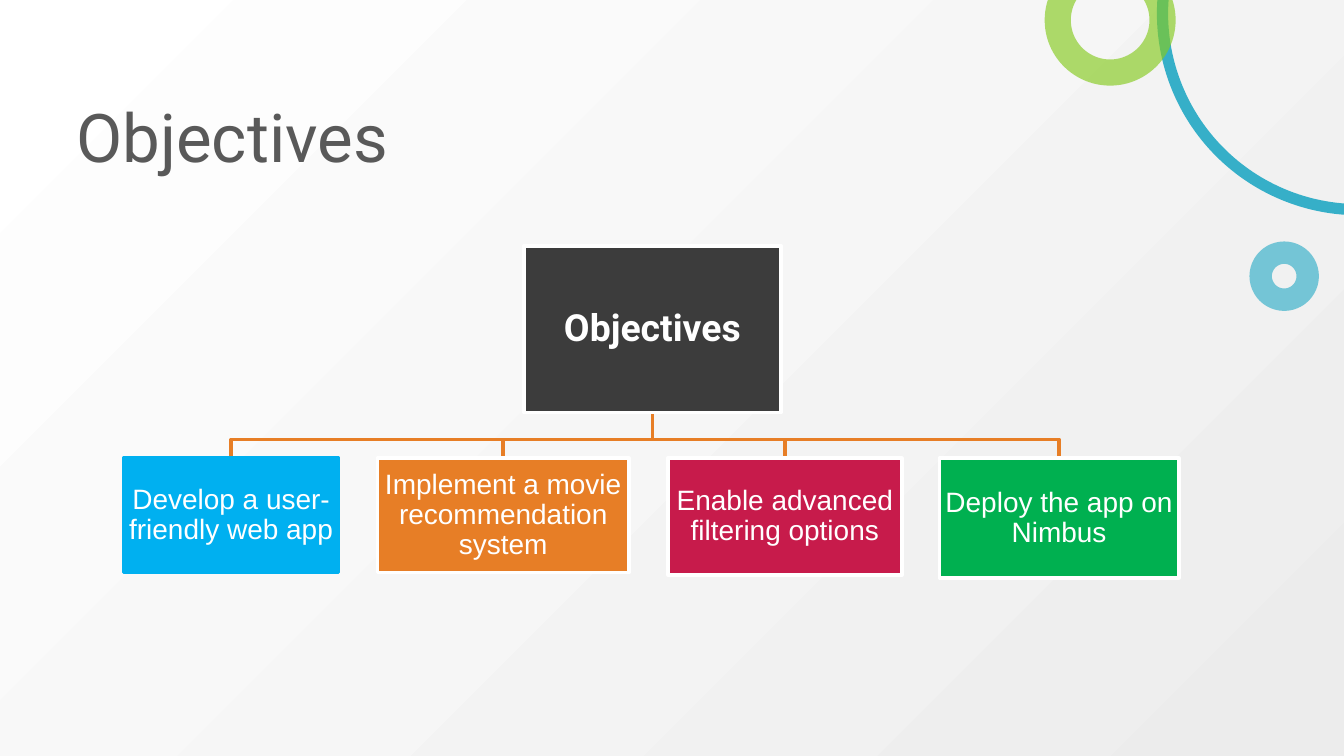
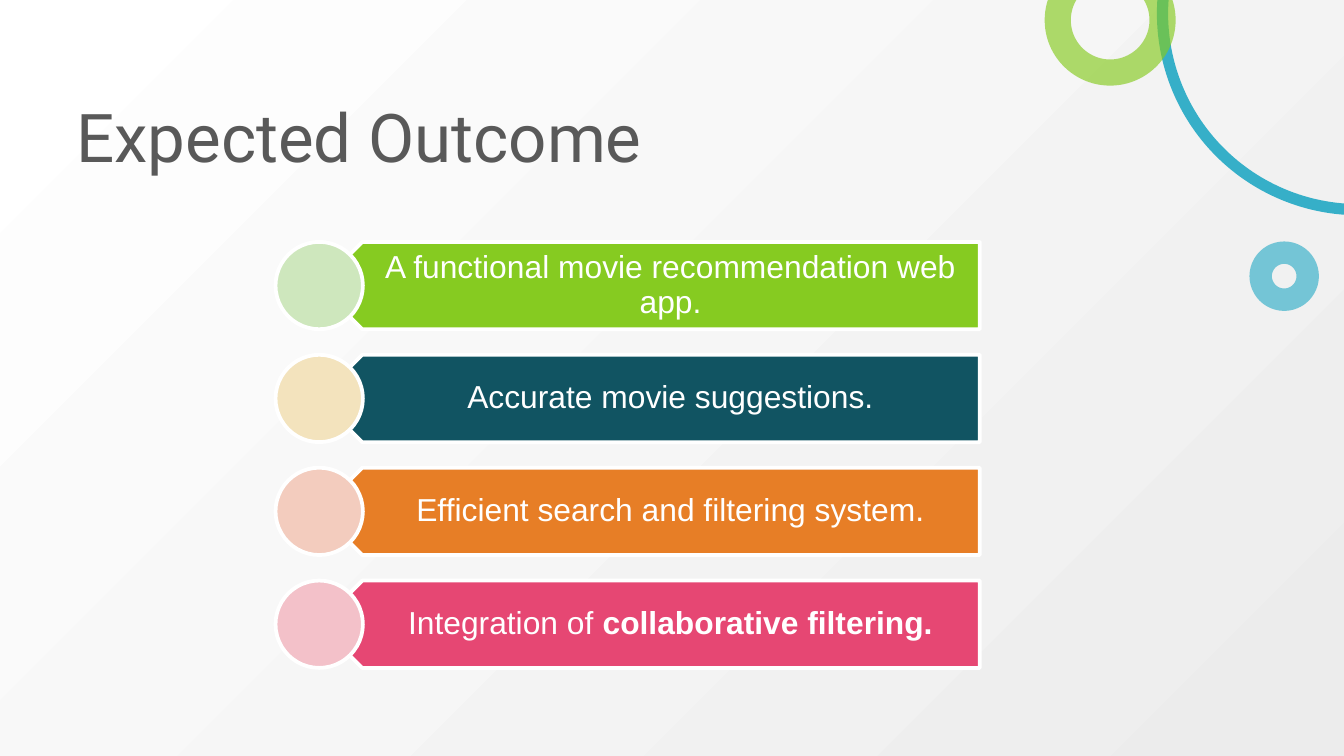
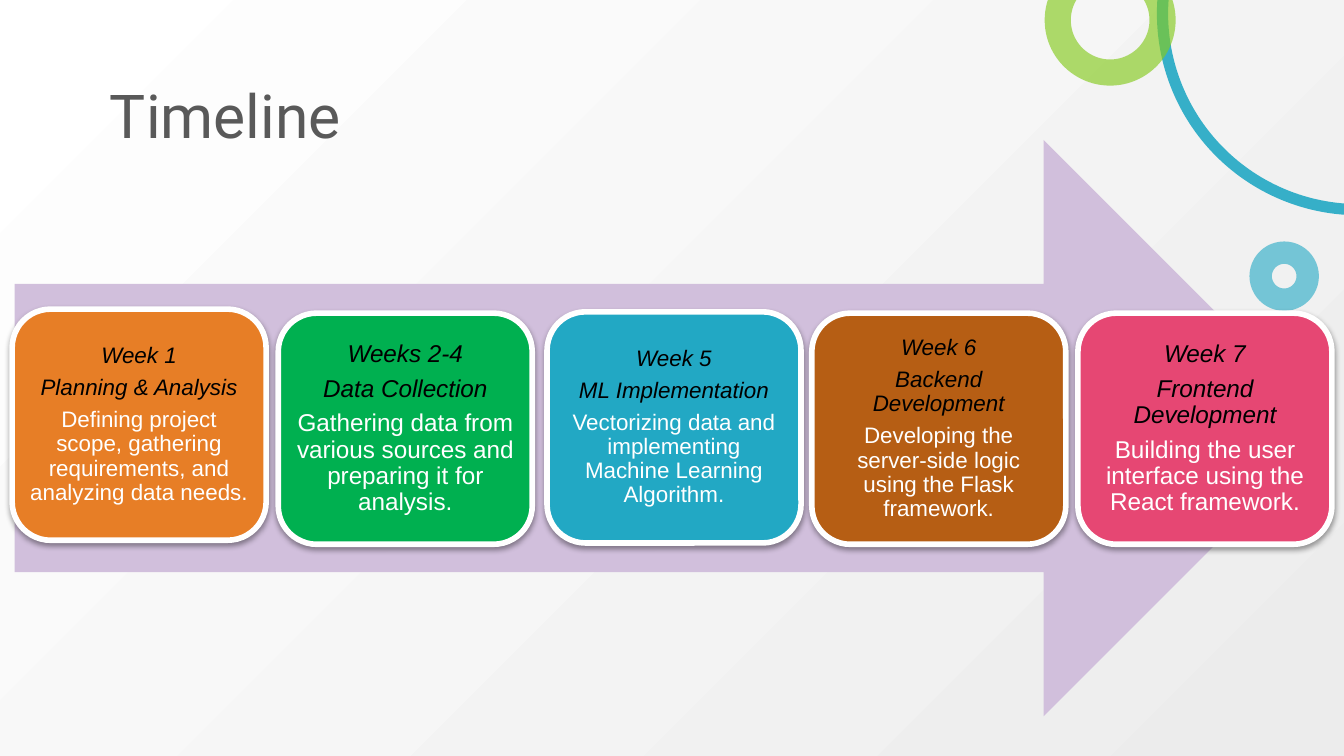
"""Build three slides on a movie recommendation project: objectives, outcome and timeline."""
from dataclasses import dataclass

from lxml import etree
from pptx import Presentation
from pptx import util as u
from pptx.dml.color import RGBColor
from pptx.enum import shapes, text
from pptx.oxml import ns

WHITE, BLACK, GREY, CHARCOAL = "FFFFFF", "000000", "595959", "3C3C3C"
ORANGE, TEAL, LIME, PINK = "E77E26", "22A8C4", "86CB21", "E64773"
SKY, EMERALD, CRIMSON, BROWN = "00B0F0", "00B050", "C71B4B", "B65E14"
PETROL, LILAC, BACKDROP_END = "115462", "D1BFDC", "ECECEC"
HEADING_FONT, BODY_FONT = "Roboto", "Arial"
KIND = shapes.MSO_SHAPE


@dataclass(frozen=True)
class Box:
    """A place on a slide, in inches."""
    left: float
    top: float
    width: float
    height: float

    def lengths(self) -> list:
        """Return the four values as lengths."""
        return [u.Inches(value) for value in (self.left, self.top, self.width, self.height)]

    @property
    def middle(self) -> float:
        """Return the horizontal centre."""
        return self.left + self.width / 2


@dataclass(frozen=True)
class Ring:
    """A translucent outline in the corner decoration."""
    kind: int
    box: Box
    color: str
    weight: float
    opacity: int
    adjustments: tuple = ()


@dataclass(frozen=True)
class Words:
    """A paragraph, with an optional bold ending."""
    content: str
    size: float
    color: str = WHITE
    font: str = BODY_FONT
    bold: bool = False
    italic: bool = False
    bold_ending: str = ""


@dataclass(frozen=True)
class Objective:
    """A box below the root of the objectives tree."""
    content: str
    box: Box
    fill: str
    line: str = WHITE


@dataclass(frozen=True)
class Outcome:
    """A bar with its disc on the outcome slide."""
    content: str
    fill: str
    disc: str
    bold_ending: str = ""


@dataclass(frozen=True)
class Phase:
    """A card on the timeline."""
    weeks: str
    name: str
    details: str
    left: float
    top: float
    fill: str
    size: float


RINGS = (
    Ring(KIND.ARC, Box(8.65, -1.36, 2.92, 2.92), TEAL, 6, 90, (56.01, 111.67)),
    Ring(KIND.OVAL, Box(9.38, 1.88, 0.35, 0.35), TEAL, 12, 60),
    Ring(KIND.ARC, Box(7.87, -0.24, 0.78, 0.78), LIME, 14, 65, (196.99, 128.89)),
)
ROOT = Box(3.9, 1.83, 1.91, 1.24)
BRANCH_Y, OBJECTIVE_TOP = 3.27, 3.41
OBJECTIVES = (
    Objective("Develop a user-friendly web app", Box(0.92, OBJECTIVE_TOP, 1.6, 0.85), SKY, SKY),
    Objective("Implement a movie recommendation system",
              Box(2.81, OBJECTIVE_TOP, 1.87, 0.85), ORANGE),
    Objective("Enable advanced filtering options", Box(4.97, OBJECTIVE_TOP, 1.74, 0.87), CRIMSON),
    Objective("Deploy the app on Nimbus", Box(6.99, OBJECTIVE_TOP, 1.78, 0.89), EMERALD),
)
BAR_TOP, BAR_PITCH, BAR_HEIGHT = 1.8, 0.84, 0.65
OUTCOMES = (
    Outcome("A functional movie recommendation web app.", LIME, "CEE7BD"),
    Outcome("Accurate movie suggestions.", PETROL, "F3E3BD"),
    Outcome("Efficient search and filtering system.", ORANGE, "F3CCBE"),
    Outcome("Integration of ", PINK, "F3C1C9", "collaborative filtering."),
)
PHASES = (
    Phase("Week 1", "Planning & Analysis",
          "Defining project scope, gathering requirements, and analyzing data needs.",
          0.09, 2.3, ORANGE, 12),
    Phase("Weeks 2-4", "Data Collection",
          "Gathering data from various sources and preparing it for analysis.",
          2.07, 2.33, EMERALD, 13),
    Phase("Week 5", "ML Implementation",
          "Vectorizing data and implementing Machine Learning Algorithm.",
          4.07, 2.32, TEAL, 12),
    Phase("Week 6", "Backend Development",
          "Developing the server-side logic using the Flask framework.",
          6.04, 2.33, BROWN, 12),
    Phase("Week 7", "Frontend Development",
          "Building the user interface using the React framework.",
          8.02, 2.33, PINK, 13),
)


def rgb(value: str) -> RGBColor:
    """Turn a hex string into a colour."""
    return RGBColor.from_string(value)


def add_child(parent, tag: str, **attributes):
    """Append a drawing element to a parent and return it."""
    values = {name: str(value) for name, value in attributes.items()}
    return etree.SubElement(parent, ns.qn(tag), values)


def set_line(shape, color: str | None, weight: float = 2) -> None:
    """Give a shape a solid outline, or none."""
    if color is None:
        shape.line.fill.background()
        return
    shape.line.color.rgb = rgb(color)
    shape.line.width = u.Pt(weight)


def add_shape(slide, kind: int, box: Box, fill: str | None,
              line: str | None = WHITE, weight: float = 2):
    """Add a flat preset shape."""
    shape = slide.shapes.add_shape(kind, *box.lengths())
    shape.shadow.inherit = False
    if fill is None:
        shape.fill.background()
    else:
        shape.fill.solid()
        shape.fill.fore_color.rgb = rgb(fill)
    set_line(shape, line, weight)
    return shape


def add_shadow(shape) -> None:
    """Put a soft shadow below a shape."""
    effects = shape._element.spPr.find(ns.qn("a:effectLst"))
    shadow = add_child(effects, "a:outerShdw", blurRad=u.Pt(3.1), dist=u.Pt(1.6),
                       dir=90 * 60000, algn="ctr", rotWithShape=0)
    color = add_child(shadow, "a:srgbClr", val=BLACK)
    add_child(color, "a:alpha", val=38000)


def write_centered(shape, lines: list[Words], insets: tuple) -> None:
    """Fill a shape with centred paragraphs; insets run left, top, right, bottom."""
    frame = shape.text_frame
    frame.word_wrap = True
    frame.vertical_anchor = text.MSO_ANCHOR.MIDDLE
    frame.margin_left, frame.margin_top, frame.margin_right, frame.margin_bottom = map(
        u.Inches, insets)
    for index, words in enumerate(lines):
        paragraph = frame.add_paragraph() if index else frame.paragraphs[0]
        paragraph.alignment = text.PP_ALIGN.CENTER
        paragraph.line_spacing = 0.9
        paragraph.space_after = u.Pt(0.35 * words.size)
        write(paragraph, words)


def write(paragraph, words: Words) -> None:
    """Set the text and font of a paragraph."""
    paragraph.add_run().text = words.content
    if words.bold_ending:
        ending = paragraph.add_run()
        ending.text = words.bold_ending
        ending.font.bold = True
    font = paragraph.font
    font.name, font.size = words.font, u.Pt(words.size)
    font.bold, font.italic = words.bold, words.italic
    font.color.rgb = rgb(words.color)


def paint_backdrop(master) -> None:
    """Shade the master from its top left corner."""
    fill = master.background.fill
    fill.gradient()
    for stop, color in zip(fill.gradient_stops, (WHITE, BACKDROP_END)):
        stop.color.rgb = rgb(color)
    linear = next(master._element.iter(ns.qn("a:lin")))
    gradient = linear.getparent()
    gradient.remove(linear)
    circle = add_child(gradient, "a:path", path="circle")
    add_child(circle, "a:fillToRect", r=100000, b=100000)


def add_slide(presentation, title: str, box: Box, size: float = 36):
    """Add a slide with the corner rings and a title."""
    slide = presentation.slides.add_slide(presentation.slide_layouts[6])
    for ring in RINGS:
        shape = add_shape(slide, ring.kind, ring.box, None, ring.color, ring.weight)
        for index, value in enumerate(ring.adjustments):
            shape.adjustments[index] = value
        color = next(shape.line._ln.iter(ns.qn("a:srgbClr")))
        add_child(color, "a:alpha", val=ring.opacity * 1000)
    frame = slide.shapes.add_textbox(*box.lengths()).text_frame
    frame.word_wrap = True
    write(frame.paragraphs[0], Words(title, size, GREY, HEADING_FONT))
    return slide


def add_branch(slide, target: Box) -> None:
    """Draw the bent line from the root to one objective."""
    points = [(ROOT.middle, BRANCH_Y), (target.middle, BRANCH_Y), (target.middle, target.top)]
    builder = slide.shapes.build_freeform(
        u.Inches(ROOT.middle), u.Inches(ROOT.top + ROOT.height))
    builder.add_line_segments([(u.Inches(x), u.Inches(y)) for x, y in points], close=False)
    branch = builder.convert_to_shape()
    branch.shadow.inherit = False
    branch.fill.background()
    set_line(branch, ORANGE)


def add_objectives(presentation) -> None:
    """Build the objectives tree."""
    slide = add_slide(presentation, "Objectives", Box(0.47, 0.66, 3.43, 0.84))
    insets = (0.01,) * 4
    for objective in reversed(OBJECTIVES):
        add_branch(slide, objective.box)
    root = add_shape(slide, KIND.RECTANGLE, ROOT, CHARCOAL)
    write_centered(root, [Words("Objectives", 20, font=HEADING_FONT, bold=True)], insets)
    for objective in OBJECTIVES:
        shape = add_shape(slide, KIND.RECTANGLE, objective.box, objective.fill, objective.line)
        write_centered(shape, [Words(objective.content, 15)], insets)


def add_outcomes(presentation) -> None:
    """Build the list of expected outcomes."""
    slide = add_slide(presentation, "Expected Outcome", Box(0.47, 0.66, 7.4, 1.21))
    for index, outcome in enumerate(OUTCOMES):
        top = BAR_TOP + index * BAR_PITCH
        bar = add_shape(slide, KIND.PENTAGON, Box(2.37, top, 4.92, BAR_HEIGHT), outcome.fill)
        bar.rotation = 180
        label = slide.shapes.add_textbox(*Box(2.53, top, 4.76, BAR_HEIGHT).lengths())
        words = Words(outcome.content, 17, bold_ending=outcome.bold_ending)
        write_centered(label, [words], (0.29, 0.07, 0.13, 0.07))
        add_shape(slide, KIND.OVAL, Box(2.05, top, BAR_HEIGHT, BAR_HEIGHT), outcome.disc)


def add_timeline(presentation) -> None:
    """Build the timeline arrow with its cards."""
    slide = add_slide(presentation, "Timeline", Box(0.72, 0.53, 2.36, 0.69), 32.4)
    add_shape(slide, KIND.RIGHT_ARROW, Box(0.11, 1.04, 9.8, 4.29), LILAC, None)
    for phase in PHASES:
        card = add_shape(slide, KIND.ROUNDED_RECTANGLE,
                         Box(phase.left, phase.top, 1.89, 1.72), phase.fill, weight=3)
        add_shadow(card)
        headings = [Words(line, phase.size, BLACK, italic=True)
                    for line in (phase.weeks, phase.name)]
        write_centered(card, [*headings, Words(phase.details, phase.size)], (0.05,) * 4)


def main() -> None:
    """Build and save the presentation."""
    presentation = Presentation()
    presentation.slide_width = u.Inches(10)
    presentation.slide_height = u.Inches(10) * 9 // 16
    paint_backdrop(presentation.slide_master)
    add_objectives(presentation)
    add_outcomes(presentation)
    add_timeline(presentation)
    presentation.save("out.pptx")


if __name__ == "__main__":
    main()
